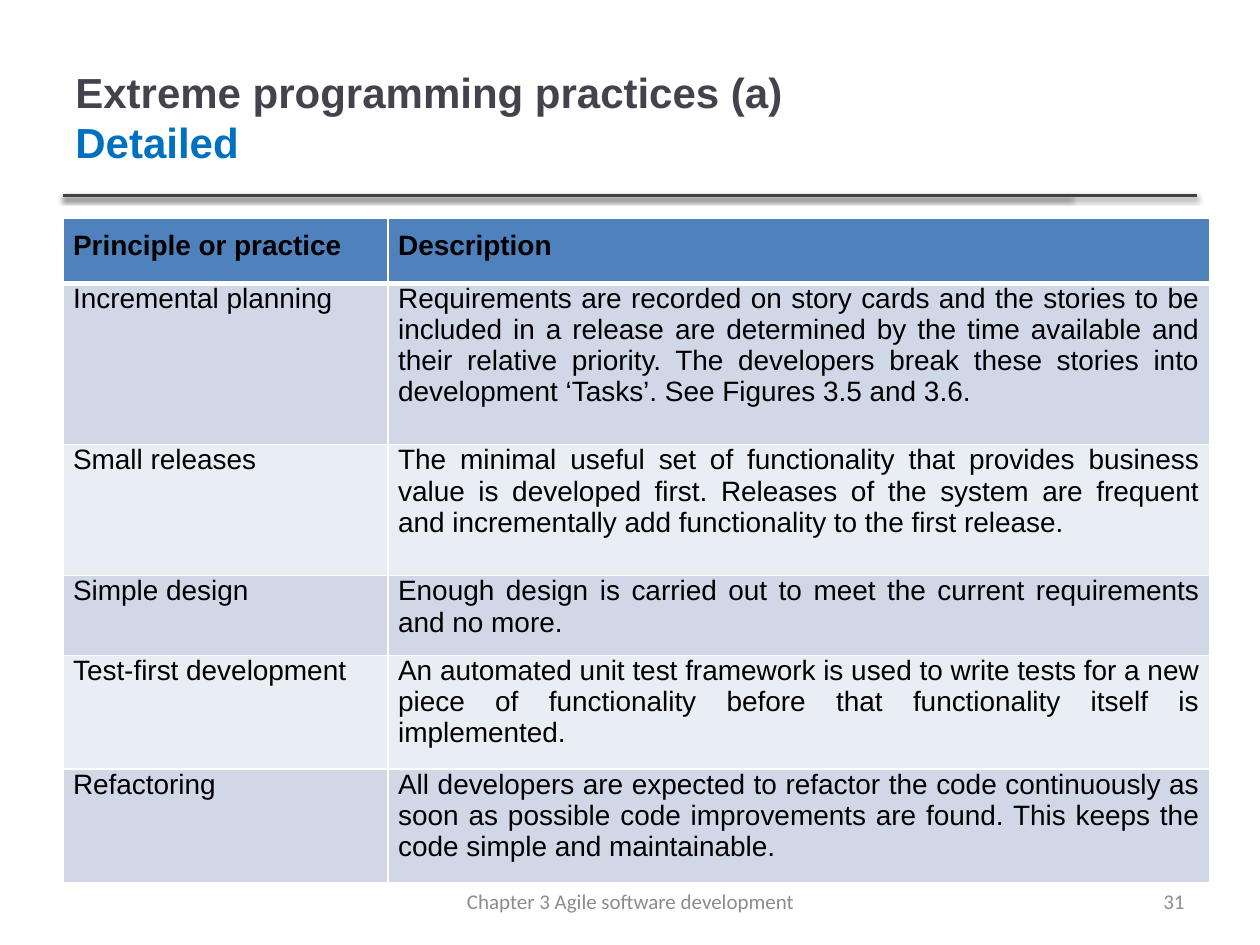
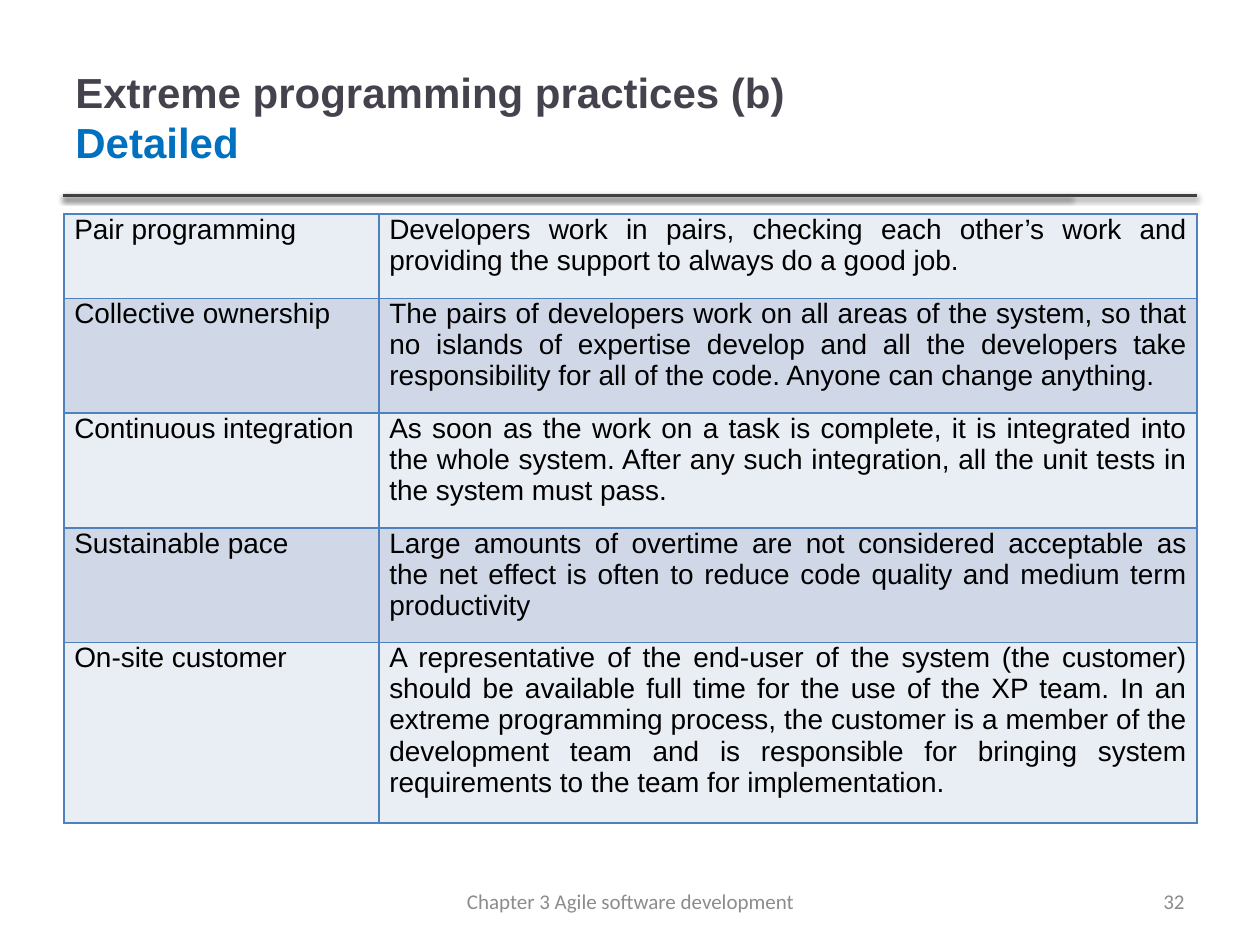
import pptx
import pptx.dml.color
import pptx.enum.text
import pptx.oxml
import pptx.oxml.ns
import pptx.util

WIDTH, HEIGHT = pptx.util.Inches(10), pptx.util.Inches(7.5)
COLUMN, ROW = WIDTH / 20, HEIGHT / 30
ALIGN = pptx.enum.text.PP_ALIGN
ANCHOR = pptx.enum.text.MSO_ANCHOR
INK, ACCENT, RULE, MUTED = "46424D", "0070C0", "404040", "8C8C8C"
BLACK, WHITE, BLUE = "000000", "FFFFFF", "4F81BD"
DARK_BAND, LIGHT_BAND = "D0D8E8", "E9EDF4"
FOOTER = "Chapter 3 Agile software development"

HEADINGS = ("Principle or practice", "Description")
PLANNING_PRACTICES = [
    ("Incremental planning", "Requirements are recorded on story cards and the stories to be included in a release are determined by the time available and their relative priority. The developers break these stories into development ‘Tasks’. See Figures 3.5 and 3.6."),
    ("Small releases", "The minimal useful set of functionality that provides business value is developed first. Releases of the system are frequent and incrementally add functionality to the first release."),
    ("Simple design", "Enough design is carried out to meet the current requirements and no more."),
    ("Test-first development", "An automated unit test framework is used to write tests for a new piece of functionality before that functionality itself is implemented."),
    ("Refactoring", "All developers are expected to refactor the code continuously as soon as possible code improvements are found. This keeps the code simple and maintainable."),
]
TEAM_PRACTICES = [
    ("Pair programming", "Developers work in pairs, checking each other’s work and providing the support to always do a good job."),
    ("Collective ownership", "The pairs of developers work on all areas of the system, so that no islands of expertise develop and all the developers take responsibility for all of the code. Anyone can change anything."),
    ("Continuous integration", "As soon as the work on a task is complete, it is integrated into the whole system. After any such integration, all the unit tests in the system must pass."),
    ("Sustainable pace", "Large amounts of overtime are not considered acceptable as the net effect is often to reduce code quality and medium term productivity"),
    ("On-site customer", "A representative of the end-user of the system (the customer) should be available full time for the use of the XP team. In an extreme programming process, the customer is a member of the development team and is responsible for bringing system requirements to the team for implementation."),
]


def color(value):
    return pptx.dml.color.RGBColor.from_string(value)


def across(columns):
    return round(columns * COLUMN)


def down(rows):
    return round(rows * ROW)


def xml(tag, content, attributes=""):
    return pptx.oxml.parse_xml(
        f'<a:{tag} {pptx.oxml.ns.nsdecls("a")} {attributes}>{content}</a:{tag}>')


def style(font, size, face, shade=None, bold=False):
    font.size, font.name, font.bold = pptx.util.Pt(size), face, bold
    if shade:
        font.color.rgb = color(shade)


def add_text(slide, left, top, width, height, align=ALIGN.LEFT):
    frame = slide.shapes.add_textbox(
        across(left), down(top), across(width), down(height)).text_frame
    frame.word_wrap = True
    frame.vertical_anchor = ANCHOR.MIDDLE
    frame.paragraphs[0].alignment = align
    return frame.paragraphs[0]


def add_rule(slide, right):
    rule = slide.shapes.add_connector(
        pptx.enum.shapes.MSO_CONNECTOR.STRAIGHT,
        across(1), down(6.2), across(right), down(6.2))
    rule.line.color.rgb = color(RULE)
    rule.line.width = pptx.util.Pt(2)
    shadow = ('<a:outerShdw blurRad="40000" dist="20000" dir="5400000" rotWithShape="0">'
              f'<a:srgbClr val="{BLACK}"><a:alpha val="38000"/></a:srgbClr></a:outerShdw>')
    rule._element.spPr.append(xml("effectLst", shadow))


def add_title(slide, title):
    heading = add_text(slide, 1, 1.2, 16, 5)
    style(heading.font, 24, "Arial", bold=True)
    for position, (words, shade) in enumerate(((title, INK), ("Detailed", ACCENT))):
        if position:
            heading.add_line_break()
        run = heading.add_run()
        run.text = words
        run.font.color.rgb = color(shade)


def add_footer(slide, number):
    for words, left, width, align in ((str(number), 14.34, 4.66, ALIGN.RIGHT),
                                      (FOOTER, 6.84, 6.34, ALIGN.CENTER)):
        note = add_text(slide, left, 27.8, width, 1.6, align)
        note.text = words
        style(note.font, 12, "Calibri", MUTED)


def set_borders(cell, shade, top=1, bottom=1):
    properties = cell._tc.get_or_add_tcPr()
    sides = (("lnL", 1), ("lnR", 1), ("lnT", top), ("lnB", bottom))
    for position, (side, points) in enumerate(sides):
        fill = f'<a:solidFill><a:srgbClr val="{shade}"/></a:solidFill>'
        properties.insert(position, xml(side, fill, f'w="{pptx.util.Pt(points)}"'))


def fill_cell(cell, words, fill, heading):
    cell.margin_left = cell.margin_right = pptx.util.Inches(0.08)
    cell.margin_top = pptx.util.Inches(0.1 if heading else 0)
    cell.margin_bottom = pptx.util.Inches(0.1)
    cell.fill.solid()
    cell.fill.fore_color.rgb = color(fill)
    paragraph = cell.text_frame.paragraphs[0]
    paragraph.text = words
    paragraph.alignment = ALIGN.JUSTIFY
    style(paragraph.font, 16, "Arial", BLACK, heading)


def add_practices(slide, left, top, widths, heights, practices, border, headed):
    rows = ([HEADINGS] if headed else []) + practices
    table = slide.shapes.add_table(
        len(rows), len(widths), across(left), down(top),
        across(sum(widths)), down(sum(heights))).table
    table.first_row = table.horz_banding = False
    for column, width in zip(table.columns, widths):
        column.width = across(width)
    for index, (row, height, texts) in enumerate(zip(table.rows, heights, rows)):
        row.height = down(height)
        heading = headed and index == 0
        fill = BLUE if heading else DARK_BAND if index % 2 else LIGHT_BAND
        for cell, words in zip(row.cells, texts):
            fill_cell(cell, words, fill, heading)
            set_borders(cell, border, top=3 if headed and index == 1 else 1,
                        bottom=3 if heading else 1)


def add_slide(deck, title, number):
    slide = deck.slides.add_slide(deck.slide_layouts[6])
    slide.background.fill.solid()
    slide.background.fill.fore_color.rgb = color(WHITE)
    for right in (17, 19):
        add_rule(slide, right)
    add_title(slide, title)
    add_footer(slide, number)
    return slide


def main():
    deck = pptx.Presentation()
    deck.slide_width, deck.slide_height = WIDTH, HEIGHT
    planning = add_slide(deck, "Extreme programming practices (a)", 31)
    add_practices(planning, 1, 6.92, (5.16, 13.04),
                  (2.08, 5.12, 4.16, 2.28, 3.24, 3.24),
                  PLANNING_PRACTICES, WHITE, True)
    team = add_slide(deck, "Extreme programming practices (b)", 32)
    add_practices(team, 1.02, 6.8, (5, 12.98), (2.68, 3.64, 3.64, 3.64, 5.6),
                  TEAM_PRACTICES, BLUE, False)
    deck.save("out.pptx")


if __name__ == "__main__":
    main()
